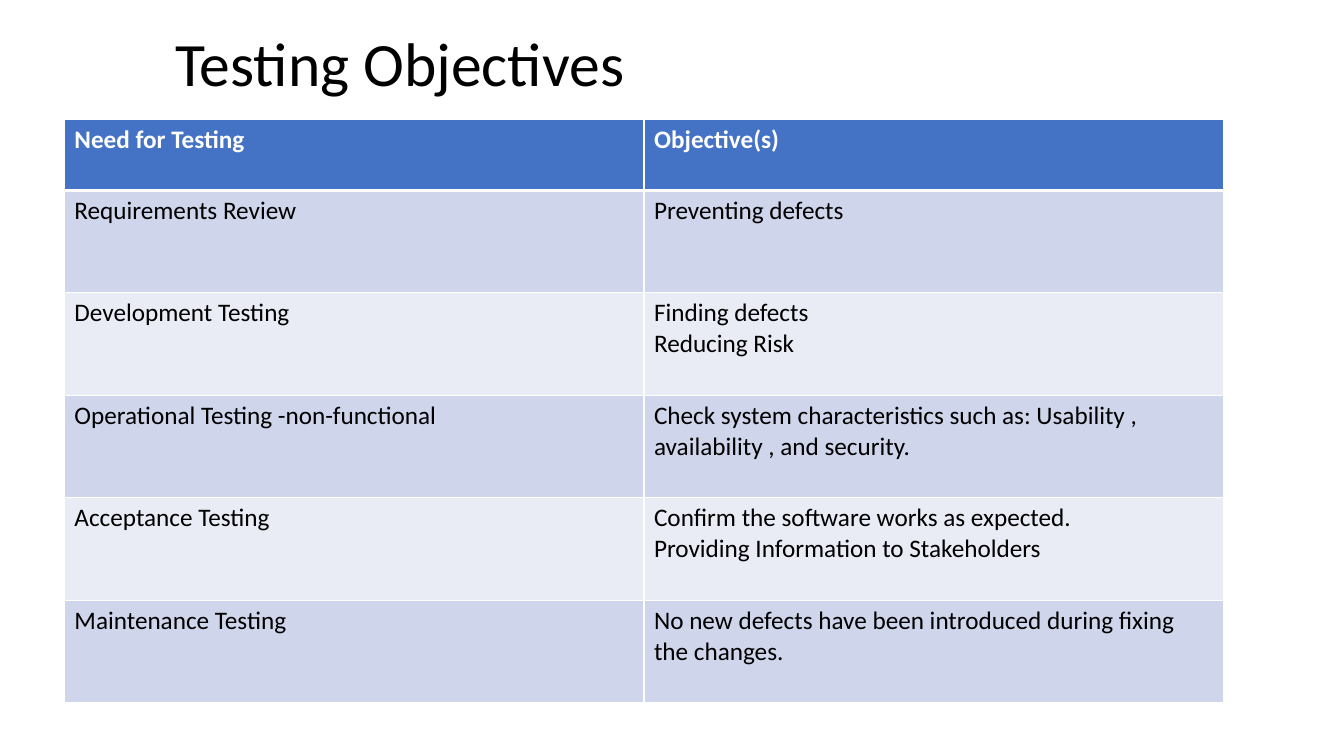
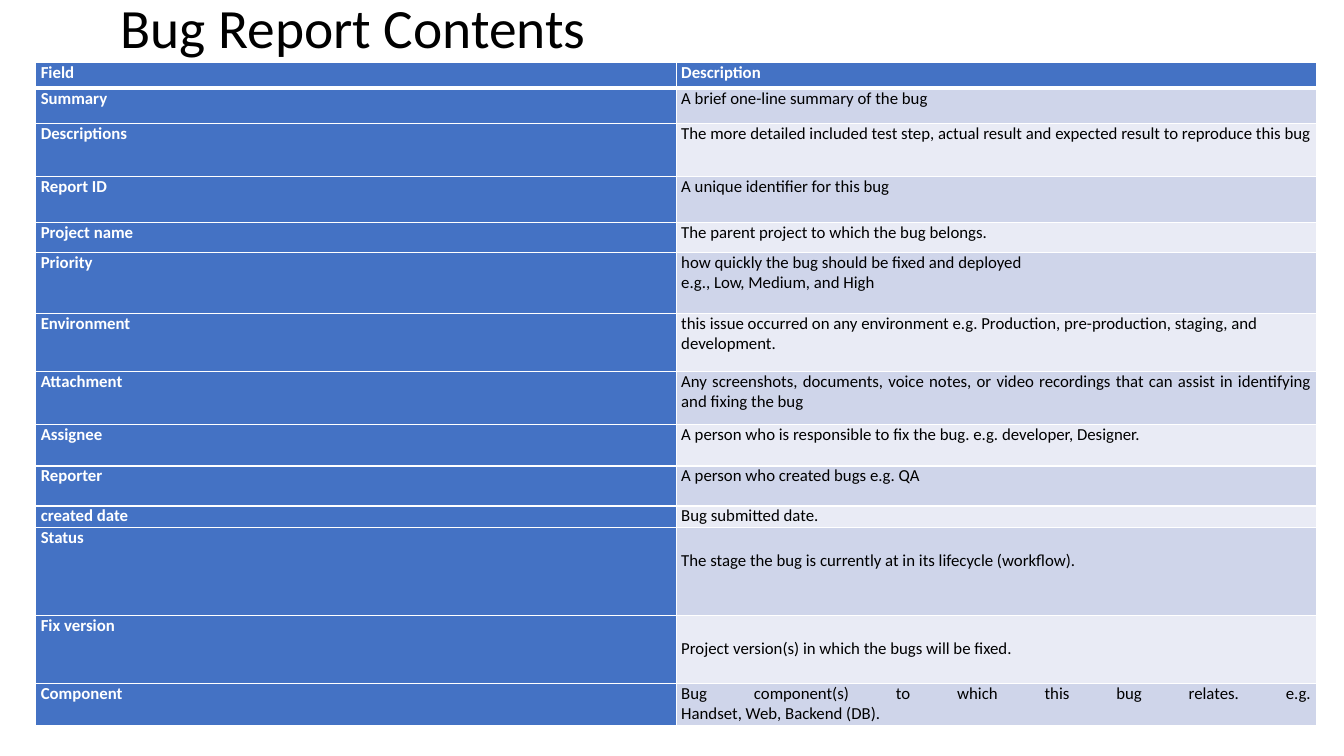
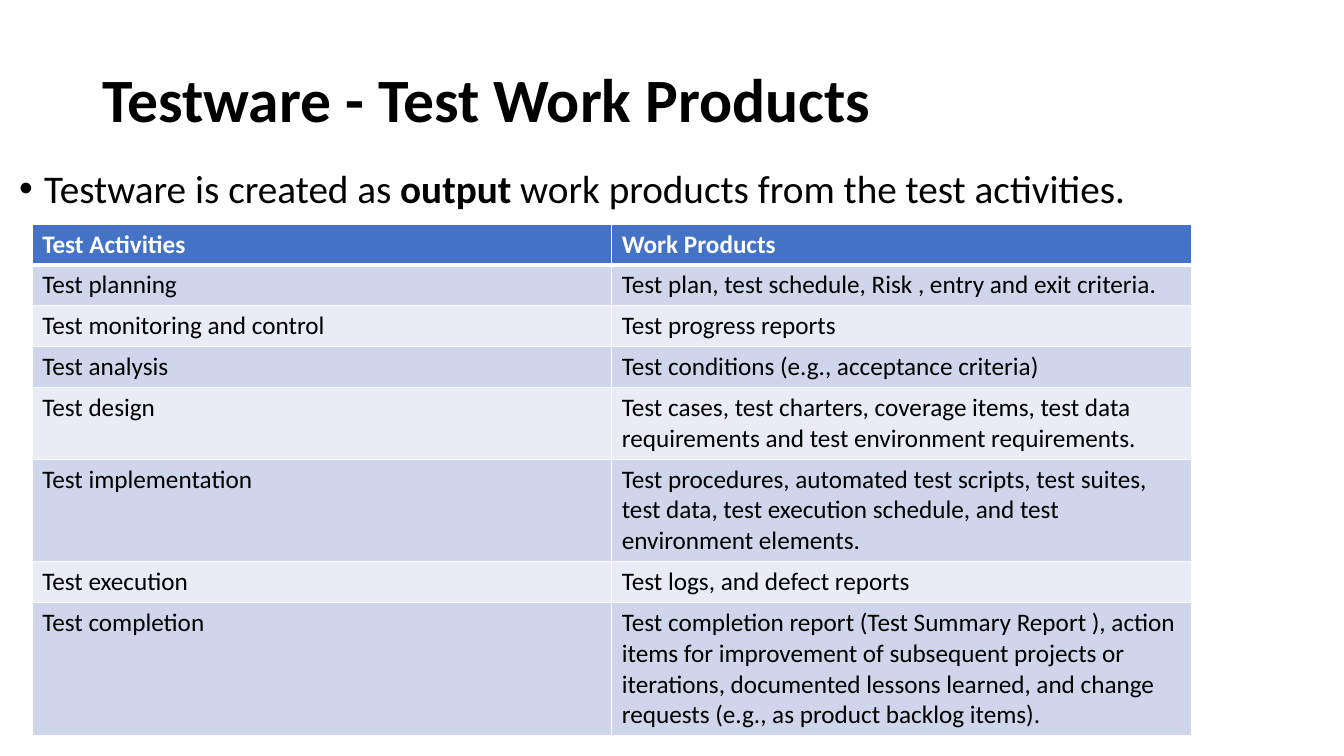
import dataclasses
from typing import Any

import pptx
import pptx.dml.color
import pptx.enum.text
import pptx.oxml
import pptx.oxml.ns
import pptx.util

Pt = pptx.util.Pt
ALIGN = pptx.enum.text.PP_ALIGN
ANCHOR = pptx.enum.text.MSO_ANCHOR

# Shared look
FONT = "Calibri"
BLACK, WHITE, BLUE = "000000", "FFFFFF", "4472C4"
BANDS = ("CFD5EA", "E9EBF5")
THIN, THICK = 1, 3
TITLE_ONLY = 5


@dataclasses.dataclass
class Title:
    text: str
    box: tuple[float, float, float, float]
    size: float = 44
    bold: bool = False
    anchor: Any = ANCHOR.MIDDLE


@dataclasses.dataclass
class Row:
    height: float
    label: str
    text: str
    align: Any = None
    top: float | None = None


@dataclasses.dataclass
class Grid:
    left: float
    top: float
    width: float
    rows: list[Row]
    size: float = 18
    margin_x: float = 7.2
    margin_y: float = 3.6
    align: Any = ALIGN.LEFT
    spacing: float = 1.0
    label_column: bool = False


def set_values(obj: Any, values: dict[str, Any]) -> None:
    for name, value in values.items():
        setattr(obj, name, value)


def set_color(fmt: Any, color: str) -> None:
    fmt.rgb = pptx.dml.color.RGBColor.from_string(color)


def format_font(font: Any, size: float, color: str = BLACK, bold: bool = False) -> None:
    set_values(font, {"name": FONT, "size": Pt(size), "bold": bold})
    set_color(font.color, color)


def add_titled_slide(prs: Any, title: Title) -> Any:
    s = prs.slides.add_slide(prs.slide_layouts[TITLE_ONLY])
    sp = s.shapes.title
    set_values(sp, dict(zip(("left", "top", "width", "height"), map(Pt, title.box))))
    tf = sp.text_frame
    tf.text = title.text
    set_values(tf, {"auto_size": pptx.enum.text.MSO_AUTO_SIZE.NONE,
                    "word_wrap": True, "vertical_anchor": title.anchor})
    p = tf.paragraphs[0]
    set_values(p, {"alignment": ALIGN.LEFT, "line_spacing": 0.9})
    format_font(p.runs[0].font, title.size, BLACK, title.bold)
    return s


def set_borders(cell: Any, widths: dict[str, float]) -> None:
    tc_pr = cell._tc.get_or_add_tcPr()
    for side, width in widths.items():
        tc_pr.append(pptx.oxml.parse_xml(
            f'<a:ln{side} {pptx.oxml.ns.nsdecls("a")} w="{Pt(width)}">'
            f'<a:solidFill><a:srgbClr val="{WHITE}"/></a:solidFill></a:ln{side}>'))


def add_grid(s: Any, grid: Grid) -> None:
    height = sum(row.height for row in grid.rows)
    table = s.shapes.add_table(len(grid.rows), 2, Pt(grid.left), Pt(grid.top),
                               Pt(grid.width), Pt(height)).table
    set_values(table, {"horz_banding": False, "first_col": grid.label_column})
    for i, row in enumerate(grid.rows):
        table.rows[i].height = Pt(row.height)
        for j, text in enumerate((row.label, row.text)):
            cell = table.cell(i, j)
            head = i == 0 or (j == 0 and grid.label_column)
            # The rule under the header row is thicker
            set_borders(cell, {"L": THIN, "R": THIN,
                               "T": THICK if i == 1 else THIN,
                               "B": THICK if i == 0 else THIN})
            cell.fill.solid()
            set_color(cell.fill.fore_color, BLUE if head else BANDS[(i - 1) % 2])
            top = row.top if j and row.top is not None else grid.margin_y
            set_values(cell, {"margin_left": Pt(grid.margin_x),
                              "margin_right": Pt(grid.margin_x),
                              "margin_top": Pt(top),
                              "margin_bottom": Pt(grid.margin_y)})
            cell.text_frame.text = text
            align = row.align if j and row.align is not None else grid.align
            for p in cell.text_frame.paragraphs:
                set_values(p, {"alignment": align, "line_spacing": grid.spacing})
                for r in p.runs:
                    format_font(r.font, grid.size, WHITE if head else BLACK, head)


def add_bullet(s: Any, box: tuple[float, ...], parts: list[tuple[str, bool]]) -> None:
    tf = s.shapes.add_textbox(*map(Pt, box)).text_frame
    tf.word_wrap = True
    p = tf.paragraphs[0]
    p_pr = p._p.get_or_add_pPr()
    set_values(p, {"line_spacing": 0.9})
    p_pr.set("marL", str(Pt(18)))
    p_pr.set("indent", str(Pt(-18)))
    for xml in ('<a:buFont {} typeface="Arial"/>', '<a:buChar {} char="•"/>'):
        p_pr.append(pptx.oxml.parse_xml(xml.format(pptx.oxml.ns.nsdecls("a"))))
    for text, bold in parts:
        r = p.add_run()
        r.text = text
        format_font(r.font, 28, BLACK, bold)


def fit_height(lines: int) -> float:
    """Row height for a number of 18-point lines."""
    return 7.2 + 22 * lines


OBJECTIVES = [
    Row(50.5, "Need for Testing", "Objective(s)"),
    *(Row(73.2, label, text) for label, text in (
        ("Requirements Review", "Preventing defects"),
        ("Development Testing", "Finding defects\nReducing Risk"),
        ("Operational Testing -non-functional",
         "Check system characteristics such as: Usability , availability , and security."),
        ("Acceptance Testing",
         "Confirm the software works as expected.\nProviding Information to Stakeholders"),
        ("Maintenance Testing",
         "No new defects have been introduced during fixing the changes."),
    )),
]

BUG_FIELDS = [
    Row(18.5, "Field", "Description"),
    Row(25, "Summary", "A brief one-line summary of the bug"),
    Row(38, "Descriptions", "The more detailed included test step, actual result and "
        "expected result to reproduce this bug"),
    Row(33, "Report ID", "A unique identifier for this bug"),
    Row(21.5, "Project name", "The parent project to which the bug belongs.", ALIGN.LEFT),
    Row(43.5, "Priority", "how quickly the bug should be fixed and deployed\n"
        "e.g., Low, Medium, and High"),
    Row(41.5, "Environment", "this issue occurred on any environment e.g. Production, "
        "pre-production, staging, and development.", ALIGN.LEFT),
    Row(38, "Attachment", "Any screenshots, documents, voice notes, or video recordings "
        "that can assist in identifying and fixing the bug"),
    Row(29.5, "Assignee", "A person who is responsible to fix the bug. e.g. developer, Designer."),
    Row(28.5, "Reporter", "A person who created bugs e.g. QA"),
    Row(15.5, "created date", "Bug submitted date."),
    Row(63, "Status", "The stage the bug is currently at in its lifecycle (workflow).",
        ALIGN.LEFT, 16.5),
    Row(48.5, "Fix version", "Project version(s) in which the bugs will be fixed.",
        ALIGN.LEFT, 16.5),
    Row(30, "Component", "Bug component(s) to which this bug relates. e.g.\v"
        "Handset, Web, Backend (DB)."),
]

WORK_PRODUCTS = [
    Row(fit_height(lines), label, text) for lines, label, text in (
        (1, "Test Activities", "Work Products"),
        (1, "Test planning", "Test plan, test schedule, Risk , entry and exit criteria."),
        (1, "Test monitoring and control", "Test progress reports"),
        (1, "Test analysis", "Test conditions (e.g., acceptance criteria)"),
        (2, "Test design", "Test cases, test charters, coverage items, test data "
         "requirements and test environment requirements."),
        (3, "Test implementation", "Test procedures, automated test scripts, test suites, "
         "test data, test execution schedule, and test environment elements."),
        (1, "Test execution", "Test logs, and defect reports"),
        (4, "Test completion", "Test completion report (Test Summary Report ), action items "
         "for improvement of subsequent projects or iterations, documented lessons learned, "
         "and change requests (e.g., as product backlog items)."),
    )
]


def main() -> None:
    prs = pptx.Presentation()
    set_values(prs, {"slide_width": Pt(960), "slide_height": Pt(540)})

    # Testing objectives
    s = add_titled_slide(prs, Title("Testing Objectives", (118, 20, 828, 104.4),
                                    anchor=ANCHOR.TOP))
    add_grid(s, Grid(46, 85.5, 828, OBJECTIVES))

    # Bug report fields
    s = add_titled_slide(prs, Title("Bug Report Contents", (79, 11, 768, 21), size=39.6))
    add_grid(s, Grid(25.5, 44.5, 915, BUG_FIELDS, size=12, margin_x=3.6, margin_y=0,
                     align=ALIGN.JUSTIFY, spacing=0.99, label_column=True))

    # Testware
    s = add_titled_slide(prs, Title("Testware - Test Work Products", (66, 29, 828, 88.5),
                                    bold=True))
    add_bullet(s, (6.5, 117.5, 902, 413), [
        ("Testware is created as ", False),
        ("output", True),
        (" work products from the test activities.", False),
    ])
    add_grid(s, Grid(23, 160, 828, WORK_PRODUCTS))

    prs.save("out.pptx")


if __name__ == "__main__":
    main()
